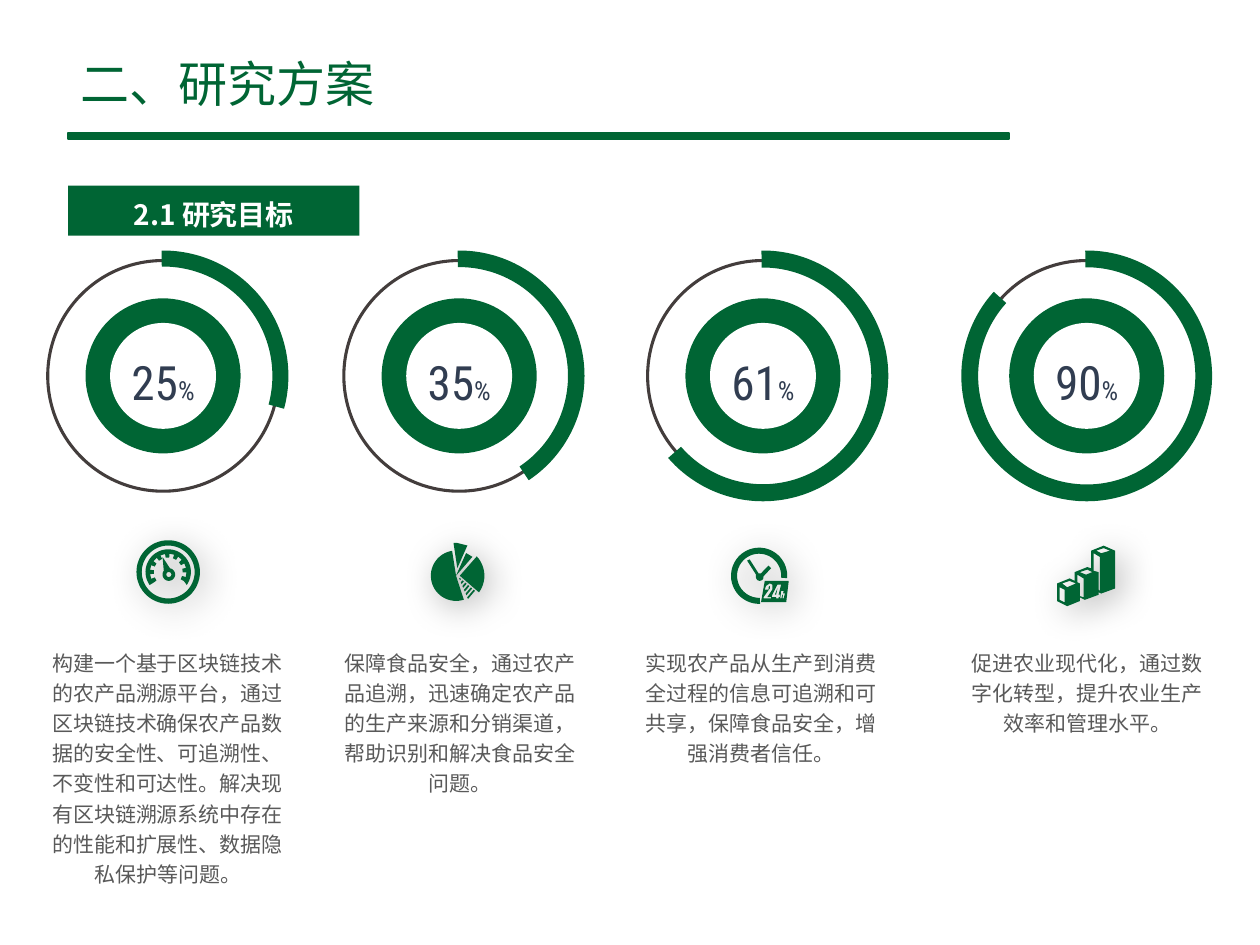
from math import cos, radians, sin

from lxml import etree
from pptx import Presentation
from pptx.dml.color import RGBColor
from pptx.enum.shapes import MSO_SHAPE
from pptx.enum.text import MSO_ANCHOR, MSO_AUTO_SIZE, PP_ALIGN
from pptx.oxml import parse_xml
from pptx.oxml.ns import nsdecls, qn
from pptx.util import Pt

COLORS = {
    "green": "006534", "ring": "433D3C", "white": "FFFFFF",
    "number": "313D51", "body": "595959",
}
CJK_FONT = "Noto Sans CJK SC"
SHADOW = (
    f'<a:effectLst {nsdecls("a")}><a:outerShdw blurRad="{Pt(20)}" dist="{Pt(5)}" '
    'dir="2700000" algn="tl" rotWithShape="0"><a:srgbClr val="000000">'
    '<a:alpha val="30000"/></a:srgbClr></a:outerShdw></a:effectLst>'
)


def write(frame, runs, color, font=CJK_FONT, bold=False, centered=True):
    """Fill the first paragraph with (text, size) runs in one font and colour."""
    paragraph = frame.paragraphs[0]
    for text, size in runs:
        run = paragraph.add_run()
        run.text = text
        if len(runs) > 1:
            run.font.size = Pt(size)
    if centered:
        paragraph.alignment = PP_ALIGN.CENTER
        paragraph.line_spacing = 1.2
    paragraph.font.size = Pt(runs[0][1])
    paragraph.font.bold = bold
    paragraph.font.color.rgb = RGBColor.from_string(COLORS[color])
    paragraph.font.name = font
    defaults = paragraph._p.get_or_add_pPr().get_or_add_defRPr()
    etree.SubElement(defaults, qn("a:ea")).set("typeface", font)


def arc(x, y, radius, start=0, end=360):
    """Points along an arc, in degrees clockwise from the right."""
    steps = max(2, round(abs(end - start) / 6))
    angles = [radians(start + (end - start) * i / steps) for i in range(steps + 1)]
    return [(x + radius * cos(a), y + radius * sin(a)) for a in angles]


# Icon outlines on a grid of 0.72 pt steps; inner outlines are holes
GRID = 0.72

dial_teeth = []
for tooth in range(383, 150, -29):
    for radius, angle in ((14.5, 7), (11.5, 7), (11.5, -7), (14.5, -7)):
        dial_teeth += arc(25.5, 25, radius, tooth + angle, tooth + angle)[:1]
gauge = [
    arc(25.5, 25, 25.2),
    arc(25.5, 25, 21),
    arc(25.5, 25, 18, 145, 395) + dial_teeth,
    arc(26, 27, 5, 281, 577) + [(21, 13)],
    arc(26, 27, 2),
]

pie = [
    arc(20, 26, 20, 72, 261) + [(20, 26)],
    arc(20, 26, 22.5, 317, 396) + [(23, 26)],
    [(20, 26), (28, 8), (33, 11)],
    [(18, 0), (21, 0), (29, 2), (21, 20)],
]
for stripe in range(6):
    outer = 1 - 0.17 * stripe
    inner = outer - 0.08
    pie.append([
        (22 + 13 * outer, 27 + 11 * outer), (22 + 13 * inner, 27 + 11 * inner),
        (22 + 7.5 * inner, 27 + 17.5 * inner), (22 + 7.5 * outer, 27 + 17.5 * outer),
    ])

clock = [
    arc(22.5, 22, 22.3, 88, 365) + arc(22.5, 22, 17.5, 365, 88),
    [(22, 20), (15, 9), (13, 10), (20, 21)] + arc(23, 23, 3, 190, -10)
    + [(32, 16), (30, 14), (24, 20)],
    [(27, 26), (46, 26), (44, 43), (24, 43)],
    # the digits 2 and 4, then the h
    [(32, 40), (32, 39), (29, 39), (33, 33), (33, 29), (31, 28), (28, 30), (27, 33),
     (30, 33), (30, 31), (31, 30), (31, 32), (26, 39), (26, 40)],
    [(39, 39), (39, 37), (38, 37), (40, 29), (37, 29), (33, 37), (32.5, 39),
     (36, 39), (36, 40), (38, 40), (38, 39)],
    [(36, 37), (37, 32), (35, 37)],
    [(42, 40), (43, 36), (41.5, 36), (42, 34), (40, 34), (39.3, 40), (40.2, 40),
     (41, 37), (41.5, 37), (41, 40)],
]

bars = [
    [(14, 21), (24, 17), (27, 18), (27, 4), (37, 0), (46, 4), (46, 34), (35, 38),
     (33, 37), (33, 39), (22, 43), (18, 41), (18, 44), (8, 48), (0, 44), (0, 30),
     (10, 26), (18, 30), (18, 40), (21, 41), (21, 26), (16, 23), (16, 29), (14, 28)],
    [(31, 4), (35, 6), (42, 4), (37, 2)],
    [(18, 21), (23, 23), (28, 21), (24, 19)],
    [(4, 30), (8, 33), (15, 30), (10, 28)],
    [(6, 35), (2, 33), (2, 43), (6, 45)],
    [(29, 20), (33, 21), (33, 35), (34, 36), (34, 9), (29, 6)],
]

# Centre x, percentage, arc end in degrees, arc thickness, icon, icon corner, text left, text
goals = [
    (93.2, "25", 15.19, 0.064, gauge, (77.8, 308.9), 20.2,
     "构建一个基于区块链技术的农产品溯源平台，通过区块链技术确保农产品数据的安全性、可追溯性、"
     "不变性和可达性。解决现有区块链溯源系统中存在的性能和扩展性、数据隐私保护等问题。"),
    (262.4, "35", 56.32, 0.066, pie, (246.2, 310.3), 187.2,
     "保障食品安全，通过农产品追溯，迅速确定农产品的生产来源和分销渠道，帮助识别和解决食品安全问题。"),
    (436, "61", 139.12, 0.068, clock, (417.6, 313.2), 359.3,
     "实现农产品从生产到消费全过程的信息可追溯和可共享，保障食品安全，增强消费者信任。"),
    (621, "90", 222.13, 0.067, bars, (604.1, 311.8), 545.8,
     "促进农业现代化，通过数字化转型，提升农业生产效率和管理水平。"),
]
RING_Y = 214.8

presentation = Presentation()
presentation.slide_width, presentation.slide_height = Pt(720), Pt(540)
slide = presentation.slides.add_slide(presentation.slide_layouts[6])
shapes = slide.shapes

title = shapes.add_textbox(Pt(38.9), Pt(30.2), Pt(380.2), Pt(34.6)).text_frame
title.word_wrap = True
title.vertical_anchor = MSO_ANCHOR.MIDDLE
write(title, [("二、研究方案", 28)], "green", centered=False)

rule = shapes.add_shape(MSO_SHAPE.RECTANGLE, Pt(38.9), Pt(75.8), Pt(537.8), Pt(3.6))
heading = shapes.add_shape(MSO_SHAPE.RECTANGLE, Pt(38.9), Pt(106.1), Pt(166.5), Pt(28.6))
for bar in (rule, heading):
    bar.shadow.inherit = False
    bar.fill.solid()
    bar.fill.fore_color.rgb = RGBColor.from_string(COLORS["green"])
    bar.line.fill.background()
rule.line.color.rgb = RGBColor.from_string(COLORS["green"])
rule.line.width = Pt(1)
label = heading.text_frame
label.margin_left = label.margin_right = Pt(5)
label.margin_top = label.margin_bottom = Pt(2.9)
label.vertical_anchor = MSO_ANCHOR.TOP
label.word_wrap = True
label.auto_size = MSO_AUTO_SIZE.SHAPE_TO_FIT_TEXT
write(label, [("2.1 研究目标", 16)], "white", bold=True)

for center, percent, arc_end, thickness, icon, corner, text_left, goal in goals:
    for preset, diameter, fill in (
        (MSO_SHAPE.OVAL, 131.8, None),
        (MSO_SHAPE.BLOCK_ARC, 143.3, "green"),
        (MSO_SHAPE.OVAL, 88.6, "green"),
        (MSO_SHAPE.OVAL, 60.5, "white"),
    ):
        dial = shapes.add_shape(preset, Pt(center - diameter / 2), Pt(RING_Y - diameter / 2),
                                Pt(diameter), Pt(diameter))
        dial.shadow.inherit = False
        if fill:
            dial.fill.solid()
            dial.fill.fore_color.rgb = RGBColor.from_string(COLORS[fill])
            dial.line.fill.background()
        else:
            dial.fill.background()
            dial.line.color.rgb = RGBColor.from_string(COLORS["ring"])
            dial.line.width = Pt(1.75)
        if preset == MSO_SHAPE.BLOCK_ARC:
            # one adjustment unit is 100000/60000 of a degree
            for i, value in enumerate((269.32 * 0.6, arc_end * 0.6, thickness)):
                dial.adjustments[i] = value
    number = dial.text_frame
    number.margin_left = number.margin_right = number.margin_top = number.margin_bottom = 0
    number.word_wrap = False
    number.vertical_anchor = MSO_ANCHOR.MIDDLE
    write(number, [(percent, 27), ("%", 15)], "number", font="Roboto Condensed")

    outlines = [[(Pt(corner[0] + x * GRID), Pt(corner[1] + y * GRID)) for x, y in outline]
                for outline in icon]
    builder = shapes.build_freeform(*outlines[0][0])
    for outline in outlines:
        builder.move_to(*outline[0])
        builder.add_line_segments(outline[1:], close=True)
    symbol = builder.convert_to_shape()
    symbol.fill.solid()
    symbol.fill.fore_color.rgb = RGBColor.from_string(COLORS["green"])
    symbol.line.fill.background()
    symbol._element.spPr.append(parse_xml(SHADOW))

    body = shapes.add_textbox(Pt(text_left), Pt(364.3), Pt(151.2), Pt(119.5)).text_frame
    body.word_wrap = True
    body.margin_left = body.margin_right = Pt(7.9)
    body.margin_top = body.margin_bottom = Pt(4.3)
    write(body, [(goal, 12)], "body")

presentation.save("out.pptx")
